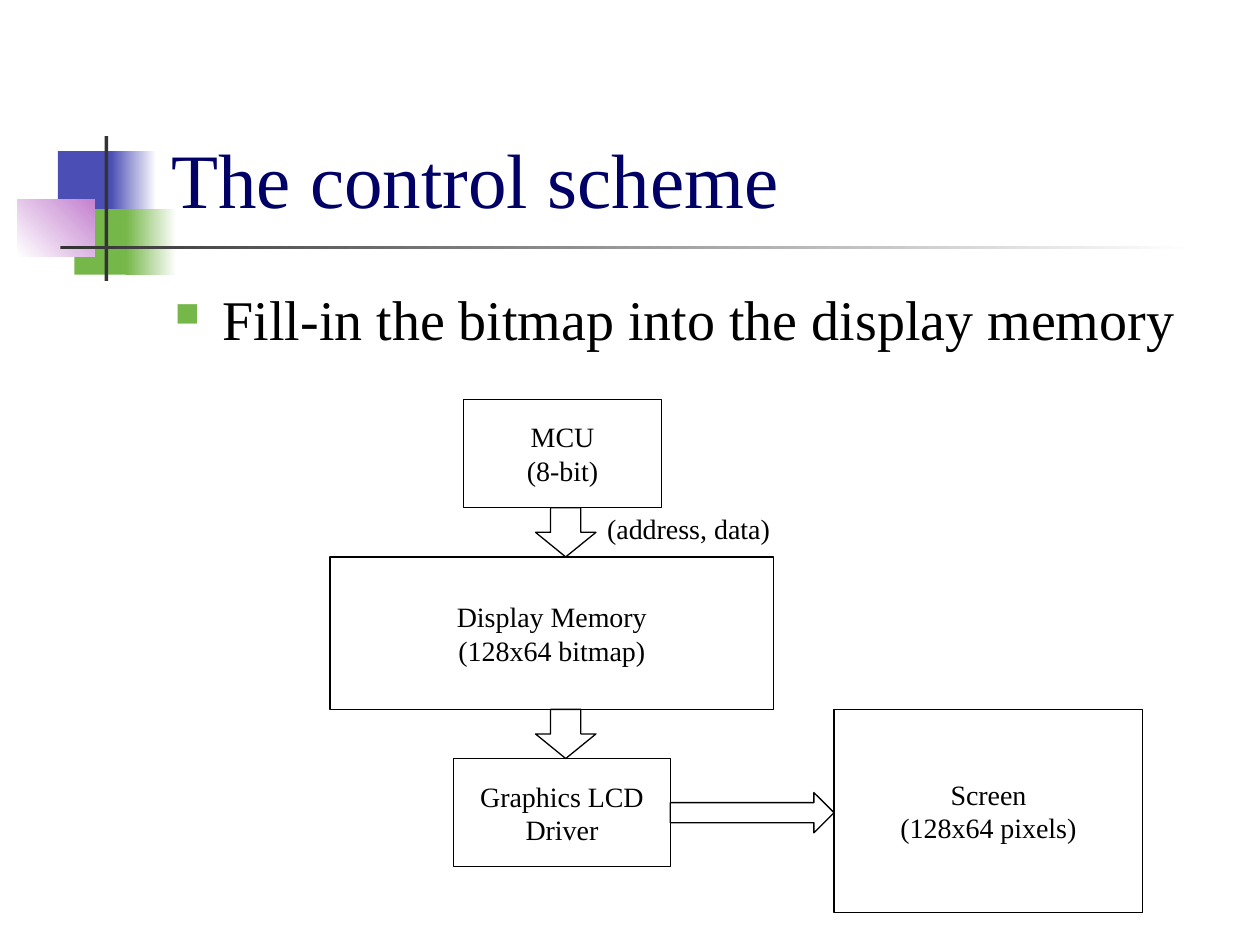
from dataclasses import dataclass

from lxml import etree
from pptx import Presentation
from pptx.dml.color import RGBColor
from pptx.enum.shapes import MSO_SHAPE
from pptx.enum.text import MSO_ANCHOR, PP_ALIGN
from pptx.oxml.ns import qn
from pptx.util import Inches, Pt

RECT, DOWN, RIGHT = MSO_SHAPE.RECTANGLE, MSO_SHAPE.DOWN_ARROW, MSO_SHAPE.RIGHT_ARROW
TOP, MIDDLE, BOTTOM = MSO_ANCHOR.TOP, MSO_ANCHOR.MIDDLE, MSO_ANCHOR.BOTTOM
LEFT, CENTER = PP_ALIGN.LEFT, PP_ALIGN.CENTER


@dataclass(frozen=True)
class Theme:
    font: str = "Times New Roman"
    title: str = "000066"
    ink: str = "000000"
    blue: str = "4B4EB5"
    green: str = "76B749"
    purple: str = "C481CF"
    dark: str = "333333"
    white: str = "FFFFFF"
    title_size: int = 44
    body_size: int = 32
    label_size: int = 16
    line: float = 0.75


T = Theme()


def rgb(color):
    return RGBColor.from_string(color)


def inches(box):
    return [Inches(v) for v in box]


def put_text(shape, text, size=T.label_size, color=T.ink, align=LEFT, anchor=TOP, wrap=True):
    """Fill a shape with text, one paragraph a line."""
    tf = shape.text_frame
    tf.word_wrap = wrap
    tf.vertical_anchor = anchor
    tf.text = text
    for p in tf.paragraphs:
        p.alignment = align
        for r in p.runs:
            r.font.name = T.font
            r.font.size = Pt(size)
            r.font.color.rgb = rgb(color)
    return tf


def add_block(s, box, colors, angle=0):
    """Add a borderless rectangle, plain for one colour and a gradient for two."""
    sp = s.shapes.add_shape(RECT, *inches(box))
    sp.shadow.inherit = False
    sp.line.fill.background()
    if len(colors) == 1:
        sp.fill.solid()
        sp.fill.fore_color.rgb = rgb(colors[0])
        return
    sp.fill.gradient()
    sp.fill.gradient_angle = angle
    for stop, color, position in zip(sp.fill.gradient_stops, colors, (0, 1)):
        stop.color.rgb = rgb(color)
        stop.position = position


def add_outline(s, kind, box, text=""):
    sp = s.shapes.add_shape(kind, *inches(box))
    sp.shadow.inherit = False
    sp.fill.background()
    sp.line.color.rgb = rgb(T.ink)
    sp.line.width = Pt(T.line)
    if text:
        put_text(sp, text, align=CENTER, anchor=MIDDLE)


def add_ornament(s, x, y):
    """Draw the coloured squares and the crossing rules."""
    for dx, dy, w, h, colors, angle in (
        (0.32, 0.12, 0.48, 0.52, [T.blue], 0),
        (0.74, 0.12, 0.36, 0.52, [T.blue, T.white], 0),
        (0.45, 0.58, 0.46, 0.52, [T.green], 0),
        (0.86, 0.58, 0.40, 0.52, [T.green, T.white], 0),
        (0, 0.50, 0.61, 0.46, [T.white, T.purple], 45),
        (0.69, 0, 0.03, 1.15, [T.dark], 0),
        (0.34, 0.87, 9, 0.03, [T.dark, T.white], 0),
    ):
        add_block(s, (x + dx, y + dy, w, h), colors, angle)


def add_title(s, box, text):
    title = s.shapes.title
    title.left, title.top, title.width, title.height = inches(box)
    put_text(title, text, T.title_size, T.title, anchor=BOTTOM)


def add_bullet(s, box, text):
    sp = s.shapes.add_textbox(*inches(box))
    p = put_text(sp, text, T.body_size).paragraphs[0]
    p.space_before = Pt(0.2 * T.body_size)
    pPr = p._p.get_or_add_pPr()
    pPr.set("marL", str(Inches(0.38)))
    pPr.set("indent", str(-Inches(0.38)))
    clr = etree.SubElement(pPr, qn("a:buClr"))
    etree.SubElement(clr, qn("a:srgbClr"), val=T.green)
    etree.SubElement(pPr, qn("a:buSzPct"), val="60000")
    etree.SubElement(pPr, qn("a:buChar"), char="■")


def add_diagram(s, x, y):
    """Draw the chain from MCU to screen, with its arrows."""
    mcu = (x + 1.06, y, 1.57, 0.86)
    memory = (x, y + 1.25, 3.52, 1.21)
    driver = (x + 0.98, y + 2.85, 1.72, 0.86)
    screen = (x + 4, y + 2.46, 2.45, 1.61)
    for box, text in (
        (mcu, "MCU\n(8-bit)"),
        (memory, "Display Memory\n(128x64 bitmap)"),
        (driver, "Graphics LCD\nDriver"),
        (screen, "Screen\n(128x64 pixels)"),
    ):
        add_outline(s, RECT, box, text)

    for upper, lower in ((mcu, memory), (memory, driver)):
        top = upper[1] + upper[3]
        add_outline(s, DOWN, (x + 1.63, top, 0.48, lower[1] - top))
    start = driver[0] + driver[2]
    add_outline(s, RIGHT, (start, y + 3.12, screen[0] - start, 0.32))

    label = s.shapes.add_textbox(*inches((x + 2.1, y + 0.84, 1.51, 0.37)))
    put_text(label, "(address, data)", wrap=False)


def main():
    prs = Presentation()
    prs.slide_width, prs.slide_height = Inches(10), Inches(7.5)
    s = prs.slides.add_slide(prs.slide_layouts[5])
    add_ornament(s, 0.14, 1.08)
    add_title(s, (1.26, 0.23, 8.52, 1.6), "The control scheme")
    add_bullet(s, (1.29, 2.21, 8.5, 0.61), "Fill-in the bitmap into the display memory")
    add_diagram(s, 2.62, 3.17)
    prs.save("out.pptx")


if __name__ == "__main__":
    main()
